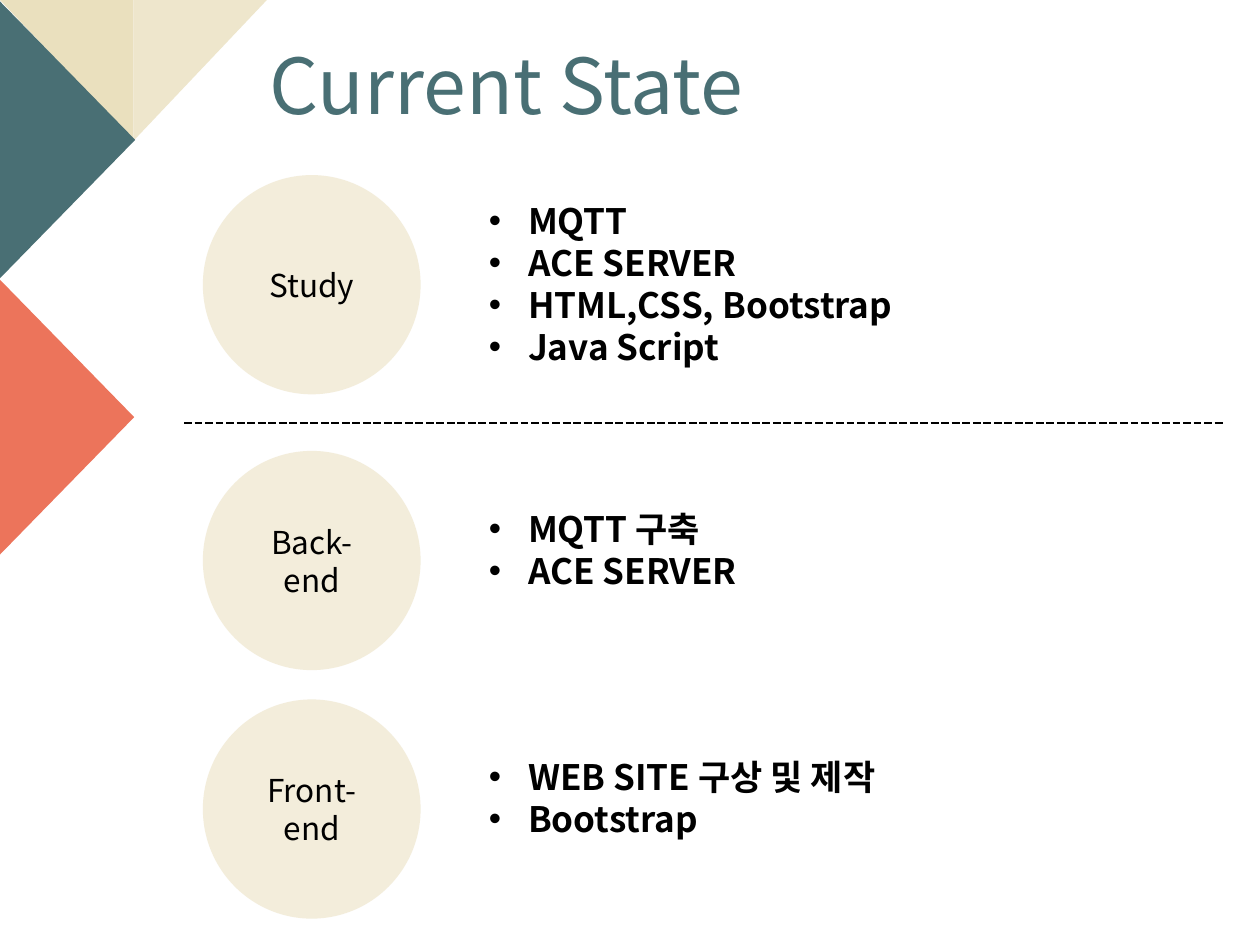
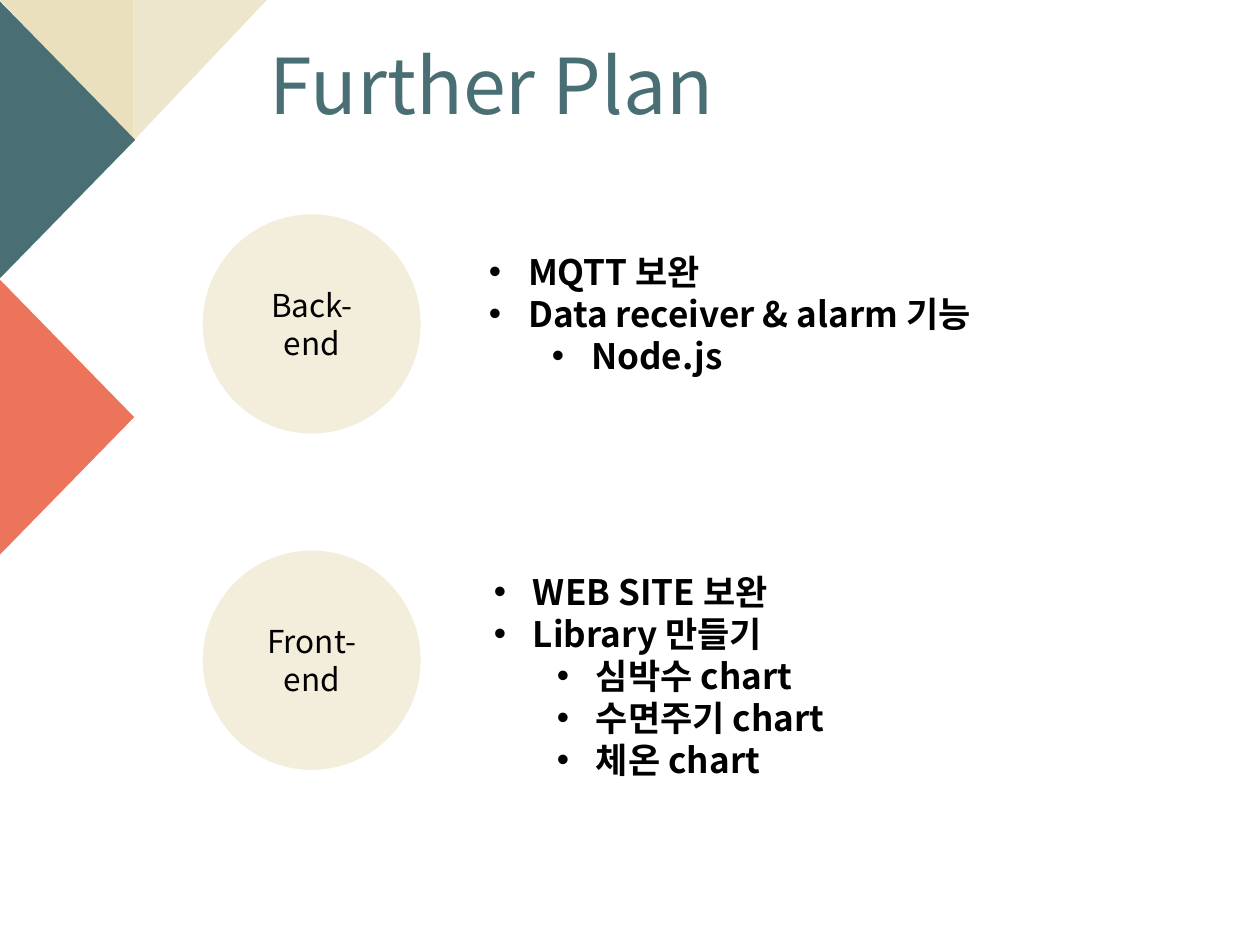
from lxml.etree import SubElement
from pptx import Presentation
from pptx.dml.color import RGBColor
from pptx.enum.dml import MSO_LINE
from pptx.enum.shapes import MSO_CONNECTOR, MSO_SHAPE
from pptx.enum.text import MSO_ANCHOR as Anchor, MSO_AUTO_SIZE as AutoSize, PP_ALIGN as Align
from pptx.oxml.ns import qn
from pptx.util import Cm, Pt

FONT = "Noto Sans CJK KR"
TEAL, CORAL, SAND, CREAM, BLACK = "496F74", "EC745B", "EAE0BE", "EEE6CC", "000000"

SLIDES = [
    {
        "title": "Current State",
        "divider": 8.53,
        "topics": [
            {"label": ["Study"], "circle_top": 3.53, "list_box": (9.6, 3.89, 4.52),
             "items": [(0, "MQTT"), (0, "ACE SERVER"), (0, "HTML,CSS, Bootstrap"), (0, "Java Script")]},
            {"label": ["Back-", "end"], "circle_top": 9.09, "list_box": (9.6, 10.11, 2.82),
             "items": [(0, "MQTT 구축"), (0, "ACE SERVER")]},
            {"label": ["Front-end"], "circle_top": 14.1, "list_box": (9.6, 15.11, 1.96),
             "items": [(0, "WEB SITE 구상 및 제작"), (0, "Bootstrap")]},
        ],
    },
    {
        "title": "Further Plan",
        "divider": None,
        "topics": [
            {"label": ["Back-", "end"], "circle_top": 4.32, "list_box": (9.6, 4.93, 3.68),
             "items": [(0, "MQTT 보완"), (0, "Data receiver & alarm 기능"), (1, "Node.js")]},
            {"label": ["Front-end"], "circle_top": 11.1, "list_box": (9.7, 11.38, 7.6),
             "items": [(0, "WEB SITE 보완"), (0, "Library 만들기"), (1, "심박수 chart"),
                       (1, "수면주기 chart"), (1, "체온 chart")]},
        ],
    },
]

CORNER_TRIANGLES = [
    (MSO_SHAPE.RIGHT_TRIANGLE, (0, 0, 2.69, 2.84), 180, False, SAND),
    (MSO_SHAPE.RIGHT_TRIANGLE, (2.69, 0, 2.69, 2.84), 180, True, CREAM),
    (MSO_SHAPE.ISOSCELES_TRIANGLE, (-1.45, 1.45, 5.61, 2.74), 90, False, TEAL),
    (MSO_SHAPE.ISOSCELES_TRIANGLE, (-1.47, 7.04, 5.61, 2.74), 90, False, CORAL),
]


def rgb(color):
    return RGBColor.from_string(color)


def place(shape, left, top, width, height):
    shape.left, shape.top, shape.width, shape.height = map(Cm, (left, top, width, height))


def add_run(paragraph, text, size, color, bold=False):
    run = paragraph.add_run()
    run.text = text
    font = run.font
    font.name, font.size, font.bold = FONT, Pt(size), bold
    font.color.rgb = rgb(color)
    SubElement(run._r.get_or_add_rPr(), qn("a:ea"), typeface=FONT)


def paragraphs_for(text_frame, count):
    return [text_frame.paragraphs[0]] + [text_frame.add_paragraph() for _ in range(count - 1)]


def add_plain_shape(slide, kind, box, color):
    shape = slide.shapes.add_shape(kind, *map(Cm, box))
    shape.shadow.inherit = False
    shape.fill.solid()
    shape.fill.fore_color.rgb = rgb(color)
    shape.line.fill.background()
    return shape


def decorate_master(presentation, slide):
    for number, (kind, box, rotation, flipped, color) in enumerate(CORNER_TRIANGLES):
        triangle = add_plain_shape(slide, kind, box, color)
        triangle.rotation = rotation
        if flipped:
            triangle.element.spPr.xfrm.set("flipH", "1")
        triangle.element.xpath(".//p:cNvPr")[0].set("id", str(100 + number))
        presentation.slide_master.shapes.element.append(triangle.element)


def fill_title(title, text):
    place(title, 5.18, 0.84, 10.24, 2.51)
    frame = title.text_frame
    frame.vertical_anchor, frame.auto_size, frame.word_wrap = Anchor.TOP, AutoSize.NONE, True
    paragraph = frame.paragraphs[0]
    paragraph.alignment = Align.LEFT
    paragraph.line_spacing, paragraph.space_before = 0.9, Pt(10)
    add_run(paragraph, text, 44, TEAL)


def fill_list(body, list_box, items):
    left, top, height = list_box
    place(body, left, top, 13.61, height)
    frame = body.text_frame
    frame.vertical_anchor, frame.auto_size, frame.word_wrap = Anchor.TOP, AutoSize.SHAPE_TO_FIT_TEXT, True
    for paragraph, (level, text) in zip(paragraphs_for(frame, len(items)), items):
        paragraph.level = level
        paragraph.alignment = Align.LEFT
        paragraph.line_spacing, paragraph.space_before = 1.0, Pt(0)
        properties = paragraph._p.get_or_add_pPr()
        properties.set("marL", str(Cm(0.79 + 1.27 * level)))
        properties.set("indent", str(-Cm(0.79)))
        SubElement(properties, qn("a:buFont"), typeface="Arial")
        SubElement(properties, qn("a:buChar"), char="•")
        add_run(paragraph, text, 20, BLACK, True)


def add_circle(slide, top, lines):
    circle = add_plain_shape(slide, MSO_SHAPE.OVAL, (4.09, top, 4.39, 4.42), CREAM)
    SubElement(circle.element.spPr.find(".//" + qn("a:srgbClr")), qn("a:alpha"), val="69000")
    frame = circle.text_frame
    frame.vertical_anchor, frame.word_wrap = Anchor.MIDDLE, True
    for paragraph, text in zip(paragraphs_for(frame, len(lines)), lines):
        paragraph.alignment = Align.CENTER
        add_run(paragraph, text, 18, BLACK)


def add_divider(slide, top):
    line = slide.shapes.add_connector(MSO_CONNECTOR.STRAIGHT, Cm(3.71), Cm(top), Cm(24.69), Cm(top))
    line.line.color.rgb = rgb(BLACK)
    line.line.width = Pt(1.5)
    line.line.dash_style = MSO_LINE.SQUARE_DOT
    SubElement(line.element.spPr, qn("a:effectLst"))


def build_slide(presentation, content):
    slide = presentation.slides.add_slide(presentation.slide_layouts.get_by_name("Comparison"))
    title, *bodies = slide.placeholders
    topics = content["topics"]
    fill_title(title, content["title"])
    for body, topic in zip(bodies, topics):
        fill_list(body, topic["list_box"], topic["items"])
        add_circle(slide, topic["circle_top"], topic["label"])
    for unused in bodies[len(topics):]:
        unused.element.getparent().remove(unused.element)
    if content["divider"]:
        add_divider(slide, content["divider"])
    return slide


def main():
    presentation = Presentation()
    presentation.slide_width, presentation.slide_height = Cm(25.4), Cm(19.05)
    slides = [build_slide(presentation, content) for content in SLIDES]
    decorate_master(presentation, slides[0])
    presentation.save("out.pptx")


if __name__ == "__main__":
    main()
